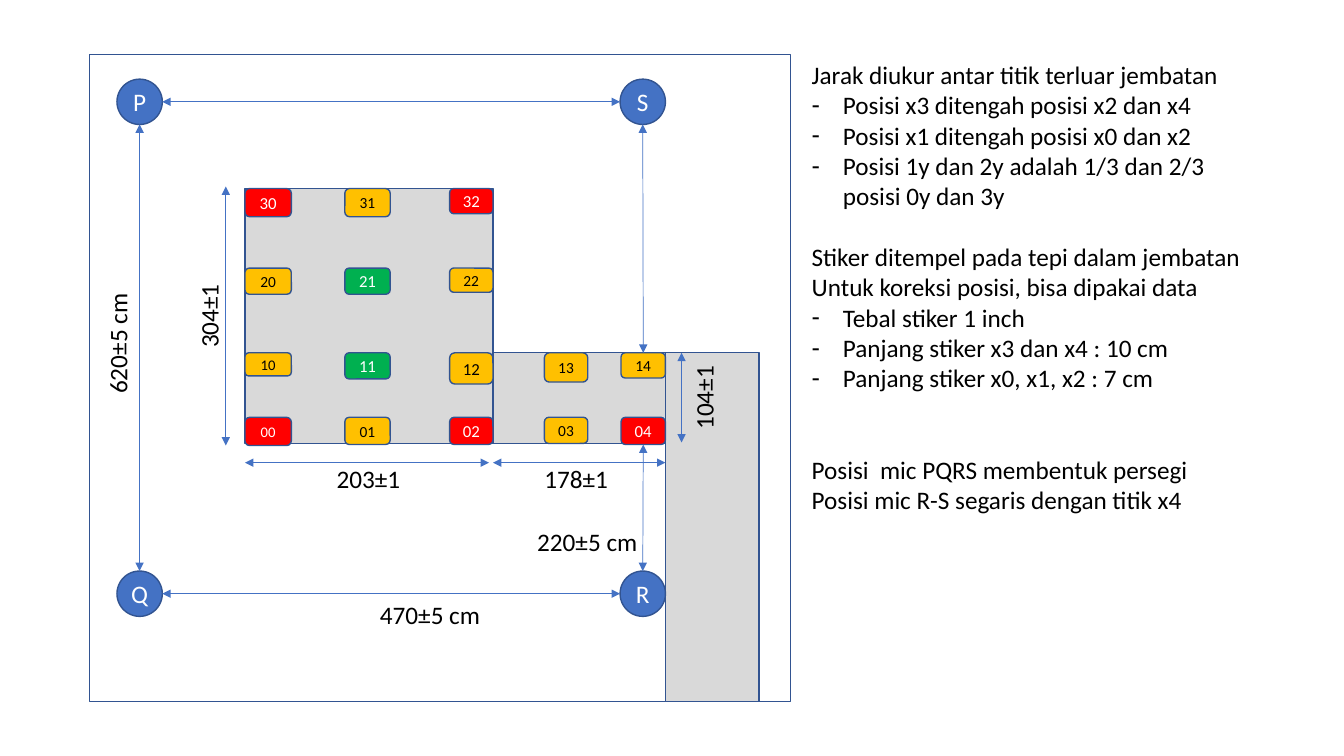
import pptx
import pptx.util
import pptx.dml.color
import pptx.enum.shapes
import pptx.enum.text
import pptx.oxml
import pptx.oxml.ns
from lxml import etree

FONT = "Calibri"
EDGE, BLUE, GRAY, WHITE, BLACK = "325491", "4472C4", "D9D9D9", "FFFFFF", "000000"
RED, GREEN, AMBER = "FF0000", "00B050", "FFC000"

# Notes: text, dashed, blank lines above
NOTES = [
    ("Jarak diukur antar titik terluar jembatan", False, 0),
    ("Posisi x3 ditengah posisi x2 dan x4", True, 0),
    ("Posisi x1 ditengah posisi x0 dan x2", True, 0),
    ("Posisi 1y dan 2y adalah 1/3 dan 2/3 \vposisi 0y dan 3y", True, 0),
    ("Stiker ditempel pada tepi dalam jembatan", False, 1),
    ("Untuk koreksi posisi, bisa dipakai data", False, 0),
    ("Tebal stiker 1 inch", True, 0),
    ("Panjang stiker x3 dan x4 : 10 cm", True, 0),
    ("Panjang stiker x0, x1, x2 : 7 cm", True, 0),
    ("Posisi  mic PQRS membentuk persegi", False, 2),
    ("Posisi mic R-S segaris dengan titik x4", False, 0),
]

# Room and bridge: left, top, width, height, fill
AREAS = [
    (0.89, 0.54, 6.95, 6.42, WHITE),
    (6.6, 3.5, 0.93, 3.46, GRAY),
    (4.89, 3.5, 1.71, 0.9, GRAY),
    (2.43, 1.87, 2.46, 2.53, GRAY),
]

# Stickers are named by row and column; each has a height and a text size
ROWS = {"0": 4.14, "1": 3.5, "2": 2.66, "3": 1.87}
COLS = {"0": (2.43, 0.46), "1": (3.42, 0.45), "2": (4.46, 0.43),
        "3": (5.4, 0.43), "4": (6.16, 0.44)}
STICKERS = {
    "30": (0.28, 12), "31": (0.28, 11), "32": (0.25, 12),
    "20": (0.26, 11), "21": (0.26, 12), "22": (0.24, 11),
    "10": (0.23, 10.5), "11": (0.26, 12), "12": (0.31, 12),
    "13": (0.29, 11), "14": (0.25, 11),
    "00": (0.28, 10.5), "01": (0.27, 11), "02": (0.27, 12),
    "03": (0.26, 11), "04": (0.27, 12),
}
TONES = dict.fromkeys(("00", "02", "04", "30", "32"), RED)
TONES.update(dict.fromkeys(("11", "21"), GREEN))

# Microphones: centres at the corners of a rectangle
LEFT, RIGHT, TOP, LOW, RADIUS = 1.385, 6.375, 1.01, 5.89, 0.225
MICS = {"P": (LEFT, TOP), "Q": (LEFT, LOW), "S": (RIGHT, TOP), "R": (RIGHT, LOW)}

# Arrows: start, end, sticker side at the end
ARROWS = [
    ((LEFT + RADIUS, TOP), (RIGHT - RADIUS, TOP), None),
    ((LEFT + RADIUS, LOW), (RIGHT - RADIUS, LOW), None),
    ((LEFT, TOP + RADIUS), (LEFT, LOW - RADIUS), None),
    ((RIGHT, TOP + RADIUS), (RIGHT, 3.5), ("14", 0)),
    ((RIGHT, LOW - RADIUS), (RIGHT, 4.41), ("04", 2)),
    ((4.89, 4.59), (6.6, 4.59), None),
    ((2.43, 4.59), (4.85, 4.59), None),
    ((2.24, 4.42), (2.24, 1.85), None),
    ((6.76, 4.39), (6.76, 3.5), None),
]

# Sizes: text, centre x, centre y, upright
LABELS = [
    ("104±1", 6.98, 3.94, True),
    ("304±1", 2.07, 3.13, True),
    ("620±5 cm", 1.165, 3.4, True),
    ("178±1", 5.72, 4.75, False),
    ("203±1", 3.66, 4.75, False),
    ("220±5 cm", 5.835, 5.37, False),
    ("470±5 cm", 4.275, 6.1, False),
]

inch = pptx.util.Inches
KIND = pptx.enum.shapes.MSO_SHAPE
ALIGN = pptx.enum.text.PP_ALIGN
ANCHOR = pptx.enum.text.MSO_ANCHOR


def color(code):
    return pptx.dml.color.RGBColor.from_string(code)


def write(par, text, size=18, tone=BLACK, align=ALIGN.LEFT):
    par.text = text
    par.alignment = align
    par.font.name = FONT
    par.font.size = pptx.util.Pt(size)
    par.font.color.rgb = color(tone)


def block(slide, kind, box, fill, text="", **style):
    shape = slide.shapes.add_shape(kind, *map(inch, box))
    shape.shadow.inherit = False
    shape.fill.solid()
    shape.fill.fore_color.rgb = color(fill)
    shape.line.color.rgb = color(EDGE)
    shape.line.width = pptx.util.Pt(1)
    if text:
        frame = shape.text_frame
        frame.margin_left = frame.margin_right = 0
        frame.margin_top = frame.margin_bottom = 0
        frame.vertical_anchor = ANCHOR.MIDDLE
        write(frame.paragraphs[0], text, align=ALIGN.CENTER, **style)
    return shape


def arrow(slide, start, end):
    """Draw a thin line with a head at both ends."""
    line = slide.shapes.add_connector(
        pptx.enum.shapes.MSO_CONNECTOR.STRAIGHT, *map(inch, start + end))
    line.line.color.rgb = color(BLUE)
    line.line.width = pptx.util.Pt(0.5)
    pen = line.line._get_or_add_ln()
    for tag in ("a:headEnd", "a:tailEnd"):
        etree.SubElement(pen, pptx.oxml.ns.qn(tag), type="triangle")
    etree.SubElement(line.element.spPr, pptx.oxml.ns.qn("a:effectLst"))
    return line


def label(slide, text, x, y, upright):
    wide, high = (1.21 if "cm" in text else 0.84), 0.4
    box = slide.shapes.add_textbox(
        *map(inch, (x - wide / 2, y - high / 2, wide, high)))
    box.rotation = 270 if upright else 0
    box.text_frame.word_wrap = False
    write(box.text_frame.paragraphs[0], text)


def notes(body):
    body.left, body.top, body.width, body.height = map(inch, (7.95, 0.54, 4.6, 5.25))
    frame = body.text_frame
    frame.word_wrap = True
    frame.auto_size = pptx.enum.text.MSO_AUTO_SIZE.NONE
    frame.vertical_anchor = ANCHOR.TOP
    for i, (text, dashed, gap) in enumerate(NOTES):
        par = frame.add_paragraph() if i else frame.paragraphs[0]
        write(par, text)
        par.space_before = pptx.util.Pt(22 * gap)
        par.space_after = pptx.util.Pt(0)
        props = par._p.get_or_add_pPr()
        indent = inch(0.31) if dashed else 0
        props.set("marL", str(indent))
        props.set("indent", str(-indent))
        if dashed:
            etree.SubElement(props, pptx.oxml.ns.qn("a:buChar"), char="-")
        else:
            etree.SubElement(props, pptx.oxml.ns.qn("a:buNone"))


def main():
    deck = pptx.Presentation()
    deck.slide_width, deck.slide_height = inch(13.33), inch(7.5)
    slide = deck.slides.add_slide(deck.slide_layouts[1])
    title = slide.shapes.title.element
    title.getparent().remove(title)
    notes(slide.placeholders[1])

    for *box, fill in AREAS:
        block(slide, KIND.RECTANGLE, box, fill)
    for name, (x, y) in MICS.items():
        box = (x - RADIUS, y - RADIUS, 2 * RADIUS, 2 * RADIUS)
        block(slide, KIND.OVAL, box, BLUE, name, tone=WHITE)

    tags = {}
    for name, (high, size) in STICKERS.items():
        row, col = name
        left, wide = COLS[col]
        tags[name] = block(
            slide, KIND.ROUNDED_RECTANGLE, (left, ROWS[row], wide, high),
            TONES.get(name, AMBER), name, size=size,
            tone=WHITE if name in TONES else BLACK)

    for start, end, joint in ARROWS:
        line = arrow(slide, start, end)
        if joint:
            name, side = joint
            line.end_connect(tags[name], side)
    for item in LABELS:
        label(slide, *item)
    deck.save("out.pptx")


if __name__ == "__main__":
    main()
